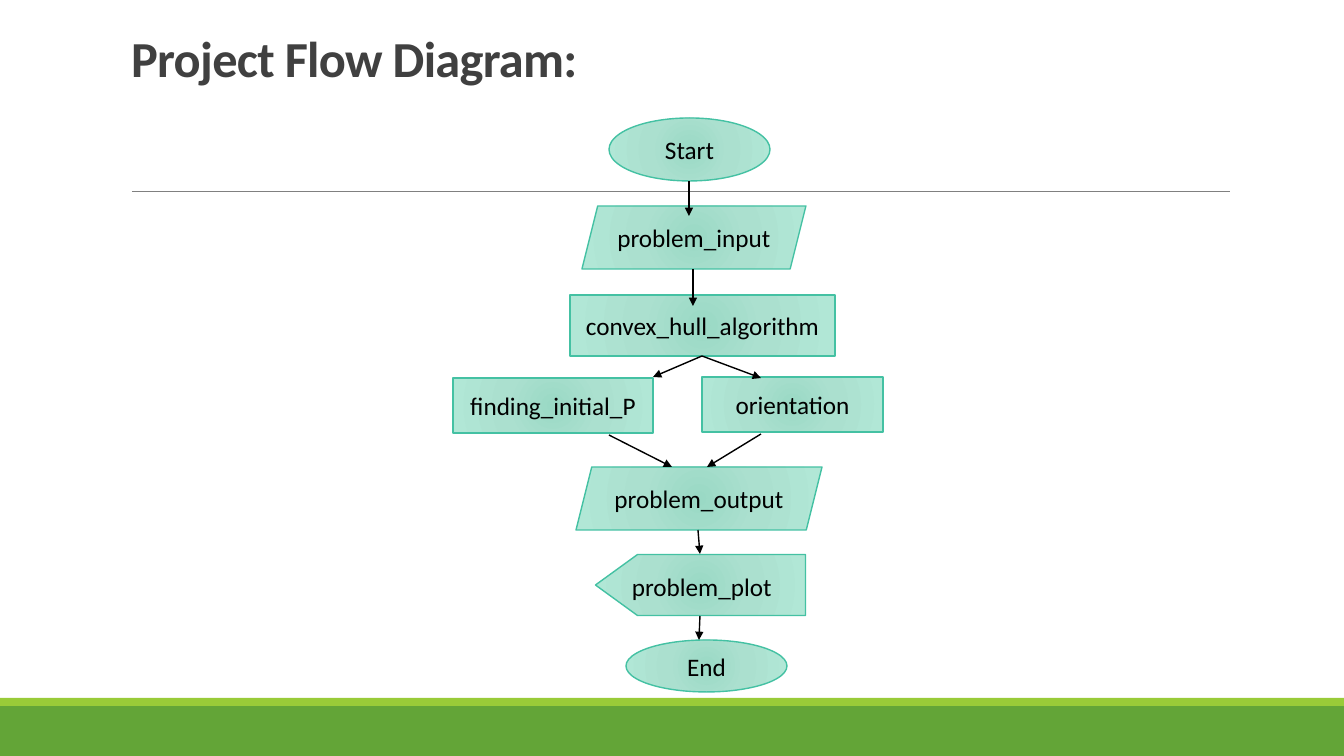
from lxml import etree
from pptx import Presentation
from pptx import util as u
from pptx.dml.color import RGBColor
from pptx.enum import shapes, text
from pptx.oxml import ns

SCALE = 12192000 / 1344
FONT = "Calibri"
KIND = shapes.MSO_SHAPE
STOPS = ((0, "9AD9C5"), (45, "ABE0CF"), (100, "B1E7D6"))
BARS = ((706, 50, "63A537"), (698, 8, "99CB38"))
NODES = (
    (KIND.RECTANGLE, (570, 295, 265, 61), "convex_hull_algorithm"),
    (KIND.OVAL, (609, 118, 161, 63), "Start"),
    (KIND.PARALLELOGRAM, (582, 206, 224, 63), "problem_input"),
    (KIND.RECTANGLE, (453, 378, 200, 55), "finding_initial_P"),
    (KIND.RECTANGLE, (702, 377, 181, 55), "orientation"),
    (KIND.PARALLELOGRAM, (576, 467, 246, 63), "problem_output"),
    (KIND.OVAL, (626, 640, 161, 52), "End"),
)
ARROWS = (
    (689, 181, 689, 216),
    (693, 269, 693, 306),
    (702, 356, 653, 377),
    (702, 356, 761, 378),
    (609, 435, 672, 467),
    (761, 434, 707, 467),
    (698, 530, 700, 554),
    (700, 616, 699, 640),
)


def px(*vals):
    """Turn pixels into EMU lengths."""
    return [u.Emu(round(v * SCALE)) for v in vals]


def color(code):
    """Turn a hex string into a colour."""
    return RGBColor.from_string(code)


def style(par, size, code, align):
    """Format a whole paragraph."""
    par.alignment = align
    par.font.name = FONT
    par.font.size = u.Pt(size)
    par.font.color.rgb = color(code)


def add_title(slide, words):
    """Place and format the title placeholder."""
    title = slide.shapes.title
    title.left, title.top, title.width, title.height = px(121, 25, 1064, 124)
    frame = title.text_frame
    frame.text = words
    frame.auto_size = text.MSO_AUTO_SIZE.NONE
    frame.vertical_anchor = text.MSO_ANCHOR.TOP
    frame.margin_top = px(11)[0]
    par = frame.paragraphs[0]
    style(par, 36, "404040", text.PP_ALIGN.LEFT)
    par.font.bold = True
    par.line_spacing = 0.85
    par.runs[0]._r.get_or_add_rPr().set("spc", "-50")


def add_bar(slide, top, height, code):
    """Add a plain band across the foot of the slide."""
    bar = slide.shapes.add_shape(KIND.RECTANGLE, *px(0, top, 1344, height))
    bar.shadow.inherit = False
    bar.fill.solid()
    bar.fill.fore_color.rgb = color(code)
    bar.line.fill.background()


def glow(shape):
    """Fill a shape with the round green gradient."""
    shape.fill.solid()
    solid = shape._element.spPr.find(ns.qn("a:solidFill"))
    grad = etree.Element(ns.qn("a:gradFill"), rotWithShape="1")
    stops = etree.SubElement(grad, ns.qn("a:gsLst"))
    for pos, code in STOPS:
        stop = etree.SubElement(stops, ns.qn("a:gs"), pos=str(pos * 1000))
        etree.SubElement(stop, ns.qn("a:srgbClr"), val=code)
    way = etree.SubElement(grad, ns.qn("a:path"), path="circle")
    etree.SubElement(way, ns.qn("a:fillToRect"), dict.fromkeys("ltrb", "100000"))
    solid.getparent().replace(solid, grad)


def add_node(slide, kind, box, words="", turn=0):
    """Add one step of the flow."""
    node = slide.shapes.add_shape(kind, *px(*box))
    node.shadow.inherit = False
    node.rotation = turn
    glow(node)
    node.line.color.rgb = color("44C1A3")
    node.line.width = u.Pt(1)
    if words:
        frame = node.text_frame
        frame.text = words
        frame.vertical_anchor = text.MSO_ANCHOR.MIDDLE
        style(frame.paragraphs[0], 18, "000000", text.PP_ALIGN.CENTER)


def add_label(slide, box, words):
    """Add a free line of text."""
    frame = slide.shapes.add_textbox(*px(*box)).text_frame
    frame.word_wrap = True
    frame.auto_size = text.MSO_AUTO_SIZE.SHAPE_TO_FIT_TEXT
    frame.text = words
    style(frame.paragraphs[0], 18, "000000", text.PP_ALIGN.LEFT)


def add_line(slide, ends, code, width, head=False):
    """Add a straight line, with an arrowhead if asked."""
    line = slide.shapes.add_connector(shapes.MSO_CONNECTOR.STRAIGHT, *px(*ends))
    line.line.color.rgb = color(code)
    line.line.width = u.Pt(width)
    props = line._element.spPr
    if head:
        stroke = props.find(ns.qn("a:ln"))
        etree.SubElement(stroke, ns.qn("a:tailEnd"), type="triangle")
    etree.SubElement(props, ns.qn("a:effectLst"))


def main():
    """Build the flow diagram slide."""
    deck = Presentation()
    deck.slide_width, deck.slide_height = px(1344, 756)
    slide = deck.slides.add_slide(deck.slide_layouts[5])
    for bar in BARS:
        add_bar(slide, *bar)
    add_line(slide, (132, 191, 1230, 191), "808080", 0.5)
    add_title(slide, "Project Flow Diagram:")
    for node in NODES:
        add_node(slide, *node)
    add_node(slide, KIND.FLOWCHART_OFFPAGE_CONNECTOR, (670, 480, 61, 210), turn=90)
    add_label(slide, (622, 566, 160, 40), "problem_plot")
    for ends in ARROWS:
        add_line(slide, ends, "000000", 1, head=True)
    deck.save("out.pptx")


main()
